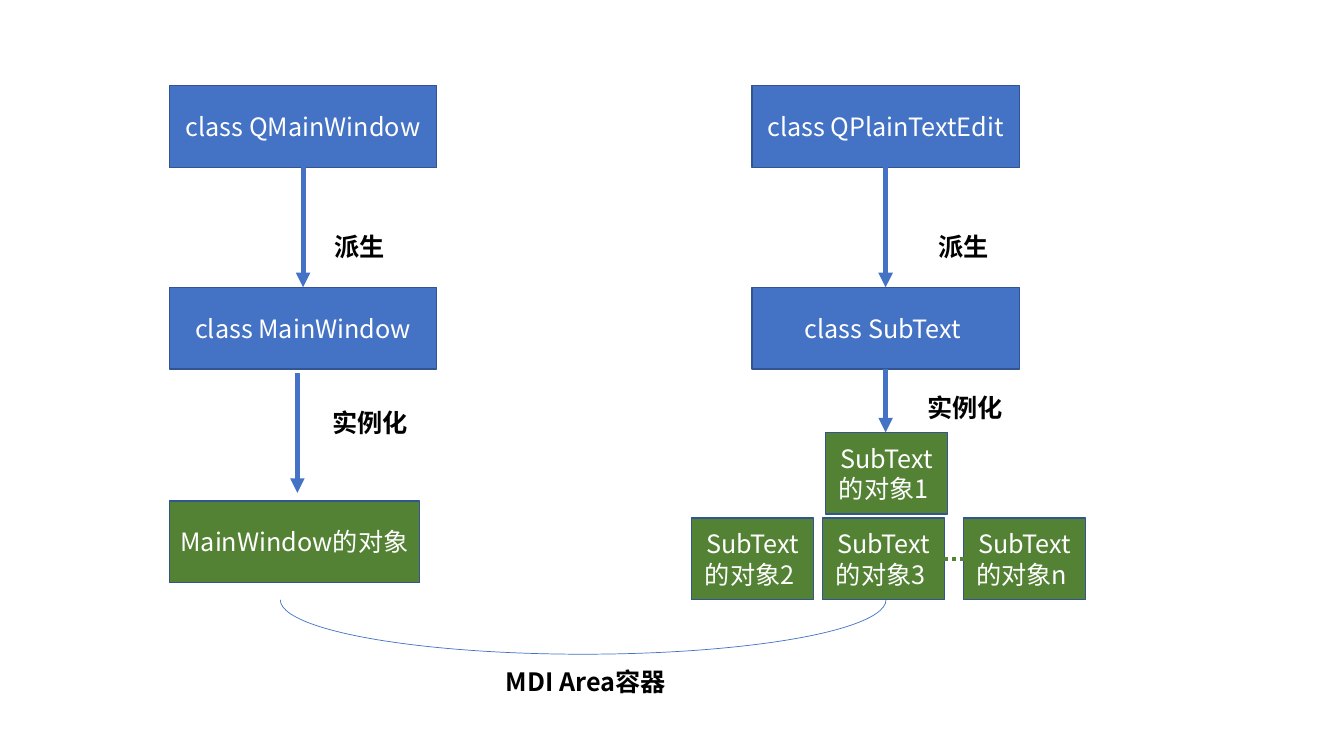
from dataclasses import dataclass

from lxml.etree import SubElement
from pptx import Presentation
from pptx.dml.color import RGBColor
from pptx.enum.shapes import MSO_CONNECTOR, MSO_SHAPE
from pptx.enum.text import MSO_ANCHOR, MSO_AUTO_SIZE, PP_ALIGN
from pptx.oxml.ns import qn
from pptx.util import Pt


@dataclass(frozen=True)
class Theme:
    font: str = "Noto Sans CJK SC"
    size: float = 18
    blue: str = "4472C4"
    green: str = "548235"
    edge: str = "325491"
    white: str = "FFFFFF"
    black: str = "000000"


class Board:
    def __init__(self, slide, theme):
        self.slide = slide
        self.theme = theme

    def add_text(self, frame, text, color, bold=False):
        run = frame.paragraphs[0].add_run()
        run.text = text
        font = run.font
        font.name = self.theme.font
        font.size = Pt(self.theme.size)
        font.bold = bold
        font.color.rgb = RGBColor.from_string(color)
        SubElement(font._element, qn("a:ea"), typeface=self.theme.font)

    def stroke(self, line, color, width):
        line.color.rgb = RGBColor.from_string(color)
        line.width = Pt(width)

    def shape(self, kind, x, y, w, h):
        item = self.slide.shapes.add_shape(kind, Pt(x), Pt(y), Pt(w), Pt(h))
        item.shadow.inherit = False
        return item

    def box(self, text, x, y, w, h, fill):
        item = self.shape(MSO_SHAPE.RECTANGLE, x, y, w, h)
        item.fill.solid()
        item.fill.fore_color.rgb = RGBColor.from_string(fill)
        self.stroke(item.line, self.theme.edge, 1)
        frame = item.text_frame
        frame.word_wrap = True
        frame.vertical_anchor = MSO_ANCHOR.MIDDLE
        frame.paragraphs[0].alignment = PP_ALIGN.CENTER
        self.add_text(frame, text, self.theme.white)

    def label(self, text, x, y, w):
        item = self.slide.shapes.add_textbox(Pt(x), Pt(y), Pt(w), Pt(29))
        frame = item.text_frame
        frame.word_wrap = True
        frame.auto_size = MSO_AUTO_SIZE.SHAPE_TO_FIT_TEXT
        frame.paragraphs[0].alignment = PP_ALIGN.LEFT
        self.add_text(frame, text, self.theme.black, True)

    def link(self, x1, y1, x2, y2, color, width):
        item = self.slide.shapes.add_connector(
            MSO_CONNECTOR.STRAIGHT, Pt(x1), Pt(y1), Pt(x2), Pt(y2))
        self.stroke(item.line, color, width)
        SubElement(item._element.spPr, qn("a:effectLst"))
        return item._element.spPr.find(qn("a:ln"))

    def arrow(self, x, top, end):
        line = self.link(x, top, x, end, self.theme.blue, 3.5)
        SubElement(line, qn("a:tailEnd"), type="triangle")

    def dots(self, x1, x2, y):
        line = self.link(x1, y, x2, y, self.theme.green, 2.75)
        SubElement(line, qn("a:prstDash"), val="sysDot")

    def arc(self, x, y, w, h):
        item = self.shape(MSO_SHAPE.ARC, x, y, w, h)
        item.adjustments[0] = 107.137
        item.adjustments[1] = 0
        item.rotation = 180
        item.fill.background()
        self.stroke(item.line, self.theme.blue, 0.5)


deck = Presentation()
deck.slide_width = Pt(960)
deck.slide_height = Pt(540)
theme = Theme()
board = Board(deck.slides.add_slide(deck.slide_layouts[6]), theme)

wide, high, small = 191, 58.4, 87.1
base, child = 61.2, 205.2
left, right = 121, 537.1
first, row = 308.9, 370.1
third, last = 587.5, 688.3

chains = [
    (left, "class QMainWindow", "class MainWindow", 231.8),
    (right, "class QPlainTextEdit", "class SubText ", 663.1),
]
for x, parent, derived, note in chains:
    board.box(parent, x, base, wide, high, theme.blue)
    board.box(derived, x, child, wide, high, theme.blue)
    board.arrow(x + wide / 2, base + high, child)
    board.label("派生", note, 162, 51.3)

board.arc(200.2, 389.5, 432.7, 77.8)
board.label("MDI Area容器", 354.2, 472.3, 128.9)

board.box("MainWindow的对象", left, 357.8, 178.6, high, theme.green)
board.arrow(212.4, 266.4, 352.1)
board.label("实例化", 230.4, 287.3, 69.3)

parts = [("1", 589.7, first), ("n", last, row), ("2", 493.9, row), ("3", third, row)]
for mark, x, y in parts:
    board.box(f"SubText的对象{mark} ", x, y, small, high, theme.green)
board.dots(third + small, last, row + high / 2)
board.arrow(right + wide / 2, child + high, first)
board.label("实例化", 655.2, 276.5, 69.3)

deck.save("out.pptx")
